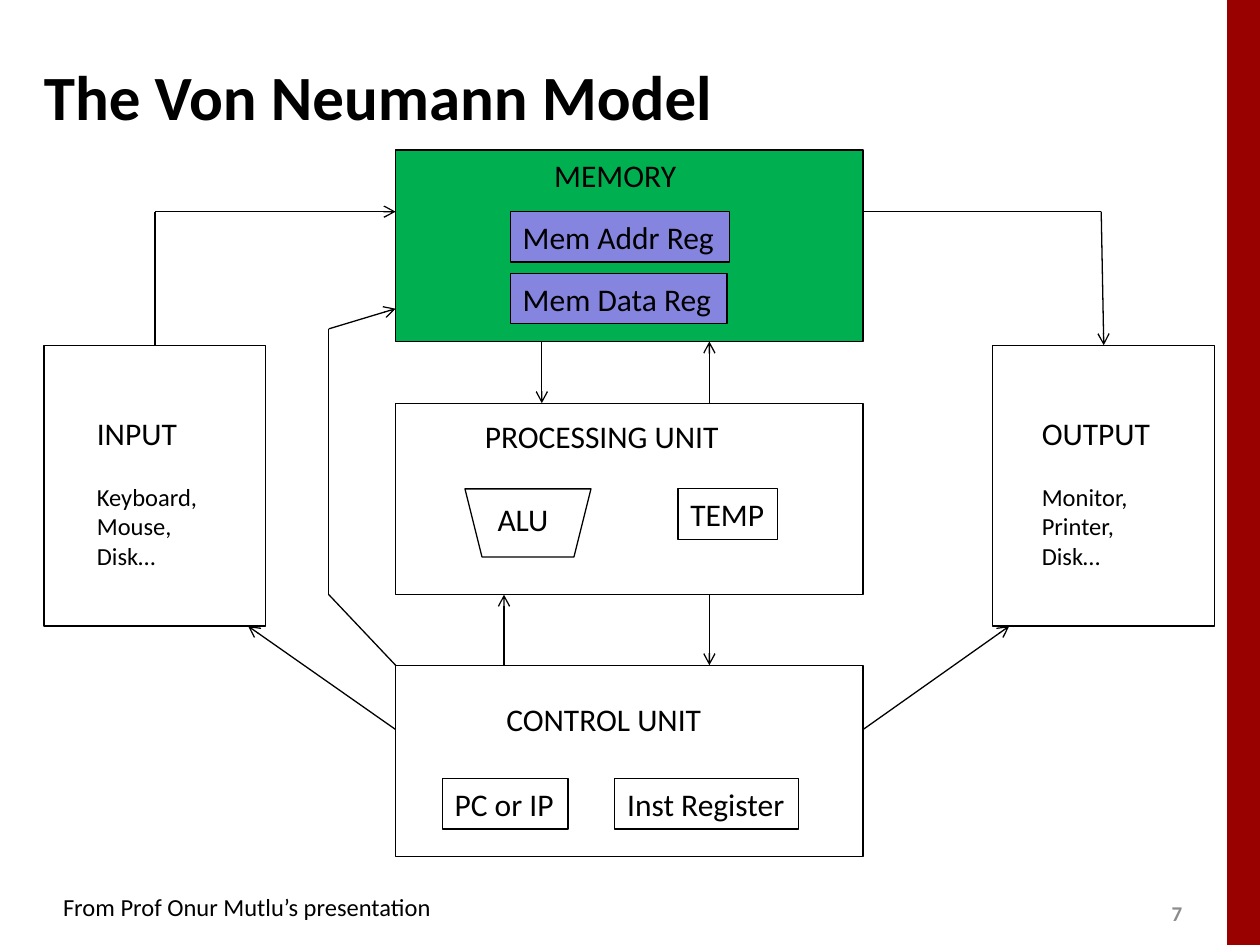
from dataclasses import dataclass
from typing import NamedTuple, Optional

from lxml.etree import SubElement
from pptx import Presentation
from pptx.dml.color import RGBColor
from pptx.enum.shapes import MSO_CONNECTOR, MSO_SHAPE
from pptx.enum.text import MSO_ANCHOR, PP_ALIGN
from pptx.oxml.ns import qn
from pptx.util import Inches, Pt


@dataclass(frozen=True)
class Theme:
    font: str = "Calibri"
    ink: str = "000000"
    muted: str = "8C8C8C"
    accent: str = "990000"
    memory: str = "00B050"
    register: str = "8585E0"
    title: int = 36
    label: int = 18
    small: int = 14
    number: int = 12
    line: float = 0.75


class Area(NamedTuple):
    left: float
    top: float
    width: float
    height: float


class Point(NamedTuple):
    x: float
    y: float


class Block(NamedTuple):
    area: Area
    text: str = ""
    fill: Optional[str] = None


class Arrow(NamedTuple):
    start: Point
    end: Point
    head: bool = True


THEME = Theme()
LABEL_HEIGHT = 0.4
UNIT_LEFT, UNIT_WIDTH, UNIT_HEIGHT = 3.14, 3.71, 1.52
UNIT_RIGHT = UNIT_LEFT + UNIT_WIDTH
MEMORY_TOP, PROCESSING_TOP, CONTROL_TOP = 1.19, 3.2, 5.28
MEMORY_BOTTOM = MEMORY_TOP + UNIT_HEIGHT
PROCESSING_BOTTOM = PROCESSING_TOP + UNIT_HEIGHT
DEVICE_TOP, DEVICE_WIDTH, DEVICE_HEIGHT = 2.74, 1.76, 2.23
DEVICE_BOTTOM = DEVICE_TOP + DEVICE_HEIGHT
INPUT_LEFT, OUTPUT_LEFT = 0.35, 7.88
BUS_Y = 1.68
DOWN_X, UP_X, RIGHT_X = 4.3, 4, 5.63
DETOUR_X = 2.61
CONTROL_EXIT_Y = 5.79


def label_area(left: float, top: float, width: float) -> Area:
    return Area(left, top, width, LABEL_HEIGHT)


def unit_area(top: float) -> Area:
    return Area(UNIT_LEFT, top, UNIT_WIDTH, UNIT_HEIGHT)


def device_area(left: float) -> Area:
    return Area(left, DEVICE_TOP, DEVICE_WIDTH, DEVICE_HEIGHT)


def inches(values) -> list:
    return [Inches(round(value, 2)) for value in values]


def style_paragraph(para, size: int, color: str = THEME.ink, bold: bool = False) -> None:
    para.alignment = PP_ALIGN.LEFT
    for span in para.runs:
        span.font.name = THEME.font
        span.font.size = Pt(size)
        span.font.bold = bold
        span.font.color.rgb = RGBColor.from_string(color)


def add_text(page, area: Area, text: str, size: int = THEME.label,
             color: str = THEME.ink, bold: bool = False):
    box = page.shapes.add_textbox(*inches(area))
    box.text_frame.word_wrap = False
    box.text_frame.text = text
    for para in box.text_frame.paragraphs:
        style_paragraph(para, size, color, bold)
    return box


def add_block(page, block: Block, kind=MSO_SHAPE.RECTANGLE):
    shape = page.shapes.add_shape(kind, *inches(block.area))
    shape.shadow.inherit = False
    if block.fill:
        shape.fill.solid()
        shape.fill.fore_color.rgb = RGBColor.from_string(block.fill)
    else:
        shape.fill.background()
    shape.line.color.rgb = RGBColor.from_string(THEME.ink)
    shape.line.width = Pt(THEME.line)
    if block.text:
        frame = shape.text_frame
        frame.word_wrap = False
        frame.vertical_anchor = MSO_ANCHOR.TOP
        frame.text = block.text
        style_paragraph(frame.paragraphs[0], THEME.label)
    return shape


def add_arrow(page, arrow: Arrow):
    connector = page.shapes.add_connector(
        MSO_CONNECTOR.STRAIGHT, *inches(arrow.start + arrow.end))
    connector.line.color.rgb = RGBColor.from_string(THEME.ink)
    connector.line.width = Pt(THEME.line)
    if arrow.head:
        SubElement(connector.line._get_or_add_ln(), qn("a:tailEnd"), type="arrow")
    SubElement(connector._element.spPr, qn("a:effectLst"))
    return connector


def add_device(page, left: float, text_area: Area, name: str, examples: list[str]):
    """Draw an input or output box, its name and a list of examples."""
    device = add_block(page, Block(device_area(left)))
    box = add_text(page, text_area, "\n".join([name, *examples]), THEME.small)
    heading, first_example = box.text_frame.paragraphs[:2]
    style_paragraph(heading, THEME.label)
    first_example.space_before = Pt(17)
    return device


def add_frame(page) -> None:
    """Draw the side bar, page number, title and source line."""
    bar = add_block(page, Block(Area(9.74, 0, 0.26, 7.5), fill=THEME.accent))
    bar.line.fill.background()
    number = add_text(page, Area(9.2, 7.1, 0.4, 0.3), "7", THEME.number, THEME.muted, True)
    title = add_text(page, Area(0.25, 0.17, 9.75, 1.17), "The Von Neumann Model",
                     THEME.title, bold=True)
    for box in (number, title):
        box.text_frame.word_wrap = True
        box.text_frame.vertical_anchor = MSO_ANCHOR.MIDDLE
    source = add_text(page, Area(0.5, 7.08, 2.95, 0.24),
                      "From Prof Onur Mutlu’s presentation", THEME.small).text_frame
    source.margin_left = source.margin_right = source.margin_top = source.margin_bottom = 0


def add_units(page) -> None:
    for block in (
        Block(unit_area(CONTROL_TOP)),
        Block(label_area(3.51, 6.18, 1), "PC or IP"),
        Block(label_area(4.88, 6.18, 1.46), "Inst Register"),
        Block(unit_area(PROCESSING_TOP)),
        Block(label_area(5.38, 3.88, 0.79), "TEMP"),
        Block(unit_area(MEMORY_TOP), fill=THEME.memory),
        Block(label_area(4.05, 1.68, 1.74), "Mem Addr Reg", THEME.register),
        Block(label_area(4.05, 2.17, 1.72), "Mem Data Reg", THEME.register),
    ):
        add_block(page, block)
    alu = add_block(page, Block(Area(3.69, 3.88, 1, 0.54)), MSO_SHAPE.TRAPEZOID)
    alu.rotation = 180
    add_text(page, label_area(3.92, 5.51, 1.76), "CONTROL UNIT")
    add_text(page, label_area(3.75, 3.26, 2.07), "PROCESSING UNIT")
    add_text(page, label_area(3.85, 3.92, 0.61), "ALU")
    add_text(page, label_area(4.3, 1.19, 1.18), "MEMORY")


def add_flows(page, source, sink) -> None:
    input_x, output_x = 1.23, 8.74
    from_input = add_arrow(page, Arrow(Point(input_x, DEVICE_TOP), Point(input_x, BUS_Y), False))
    from_input.begin_connect(source, 0)
    to_output = add_arrow(page, Arrow(Point(output_x, BUS_Y), Point(8.76, DEVICE_TOP)))
    to_output.end_connect(sink, 0)
    for arrow in (
        Arrow(Point(input_x, BUS_Y), Point(UNIT_LEFT, BUS_Y)),
        Arrow(Point(UNIT_RIGHT, BUS_Y), Point(output_x, BUS_Y), False),
        Arrow(Point(DOWN_X, MEMORY_BOTTOM), Point(DOWN_X, PROCESSING_TOP)),
        Arrow(Point(RIGHT_X, PROCESSING_TOP), Point(RIGHT_X, MEMORY_BOTTOM)),
        Arrow(Point(UP_X, CONTROL_TOP), Point(UP_X, PROCESSING_BOTTOM)),
        Arrow(Point(RIGHT_X, PROCESSING_BOTTOM), Point(RIGHT_X, CONTROL_TOP)),
        Arrow(Point(UNIT_LEFT, CONTROL_EXIT_Y), Point(1.97, DEVICE_BOTTOM)),
        Arrow(Point(UNIT_RIGHT, CONTROL_EXIT_Y), Point(8.01, DEVICE_BOTTOM)),
        Arrow(Point(UNIT_LEFT, CONTROL_TOP), Point(DETOUR_X, PROCESSING_BOTTOM), False),
        Arrow(Point(DETOUR_X, PROCESSING_BOTTOM), Point(DETOUR_X, 2.61), False),
        Arrow(Point(DETOUR_X, 2.61), Point(UNIT_LEFT, 2.45)),
    ):
        add_arrow(page, arrow)


def main() -> None:
    deck = Presentation()
    deck.slide_width, deck.slide_height = Inches(10), Inches(7.5)
    page = deck.slides.add_slide(deck.slide_layouts[6])
    add_frame(page)
    add_units(page)
    source = add_device(page, INPUT_LEFT, Area(0.67, 3.24, 1.01, 1.35),
                        "INPUT", ["Keyboard,", "Mouse,", "Disk…"])
    sink = add_device(page, OUTPUT_LEFT, Area(8.17, 3.24, 1.07, 1.35),
                      "OUTPUT", ["Monitor,", "Printer,", "Disk…"])
    add_flows(page, source, sink)
    deck.save("out.pptx")


if __name__ == "__main__":
    main()
